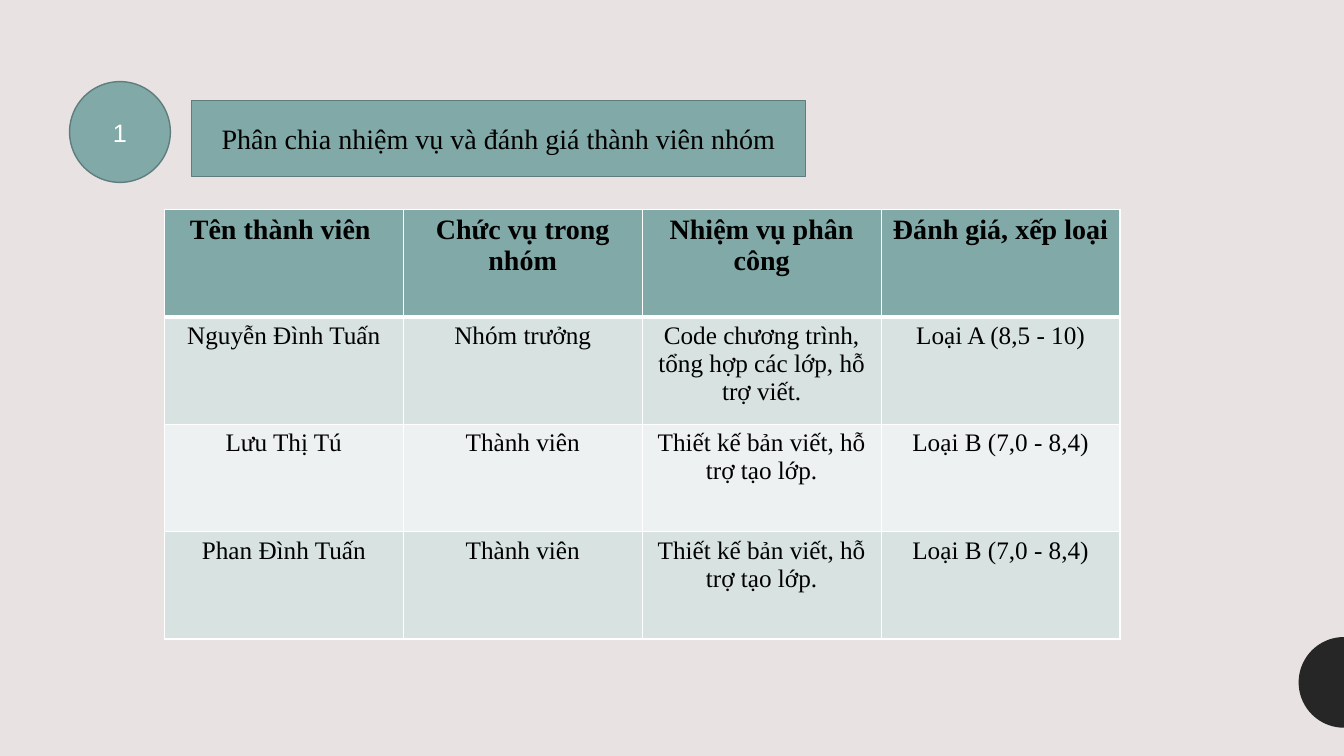
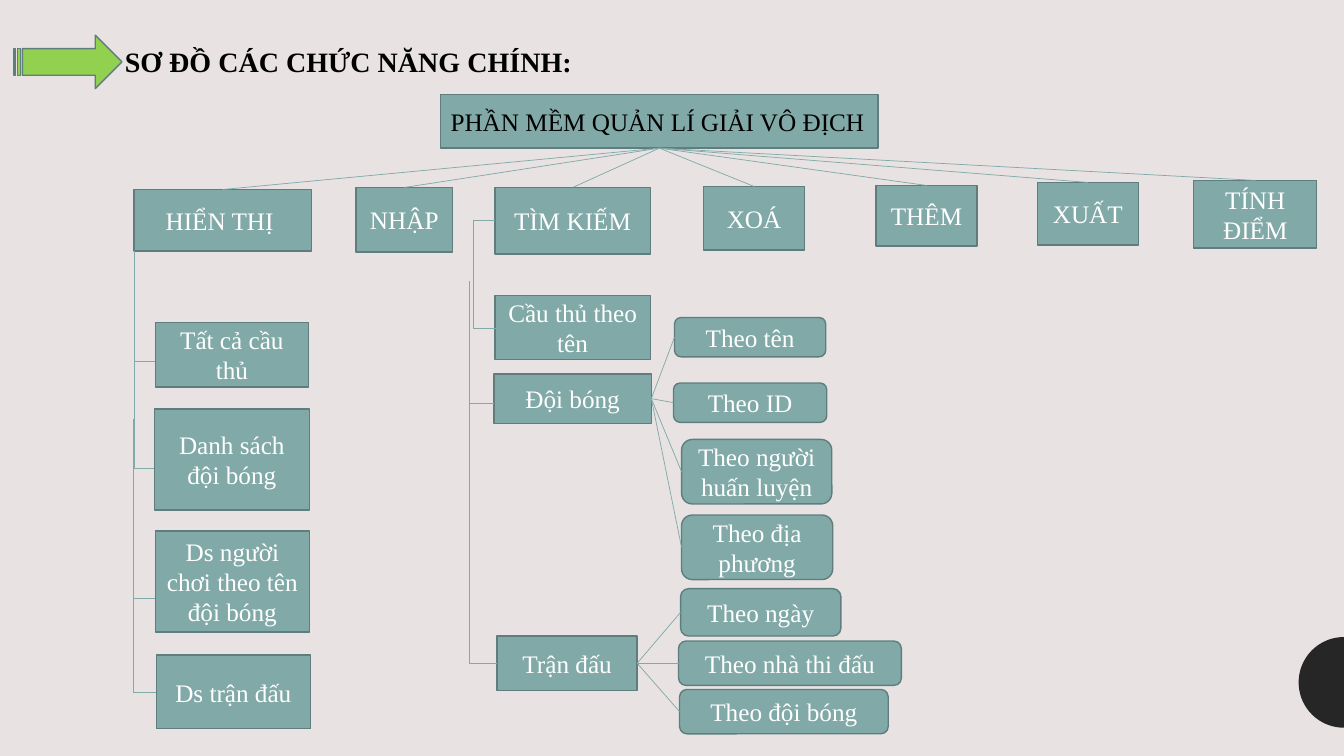
from math import cos, pi, sin

from lxml.etree import SubElement
from pptx import Presentation
from pptx.dml.color import RGBColor
from pptx.enum.shapes import MSO_CONNECTOR as Link, MSO_SHAPE as Preset
from pptx.enum.text import MSO_ANCHOR as Anchor, PP_ALIGN as Align
from pptx.oxml import parse_xml
from pptx.oxml.ns import nsdecls, qn
from pptx.util import Inches, Pt

COLORS = {
    "page": "E8E2E2", "dark": "262626", "teal": "80A9A7", "edge": "5F7D7C",
    "green": "92D050", "band": "D8E2E1", "pale": "EDF1F1",
    "white": "FFFFFF", "black": "000000",
}
HEX = {name: RGBColor.from_string(value) for name, value in COLORS.items()}
SERIF = "Times New Roman"


def add_box(page, area, text="", kind=Preset.RECTANGLE, fill="teal",
            color="white", size=18, font=SERIF, align=Align.CENTER):
    box = page.shapes.add_shape(kind, *[Inches(value) for value in area])
    box.shadow.inherit = False
    box.fill.solid()
    box.fill.fore_color.rgb = HEX[fill]
    box.line.color.rgb = HEX["edge"]
    box.line.width = Pt(1)
    box.text_frame.word_wrap = True
    box.text_frame.vertical_anchor = Anchor.MIDDLE
    para = box.text_frame.paragraphs[0]
    para.text = text
    para.alignment = align
    para.font.name = font
    para.font.size = Pt(size)
    para.font.color.rgb = HEX[color]
    return box


def add_link(page, kind, start=(0, 0), end=(0, 0)):
    link = page.shapes.add_connector(kind, *[Inches(value) for value in (*start, *end)])
    link.line.color.rgb = HEX["teal"]
    link.line.width = Pt(0.5)
    SubElement(link._element.spPr, qn("a:effectLst"))
    return link


deck = Presentation()
deck.slide_width = Inches(13.33)
deck.slide_height = Inches(7.5)
background = deck.slide_master.background.fill
background.solid()
background.fore_color.rgb = HEX["page"]

pages = [deck.slides.add_slide(deck.slide_layouts[6]) for _ in range(2)]
angles = [pi / 2 + pi * step / 36 for step in range(37)]
arc = [(Inches(13.33 + 0.45 * cos(angle)), Inches(6.77 - 0.45 * sin(angle))) for angle in angles]
for page in pages:
    builder = page.shapes.build_freeform(*arc[0])
    builder.add_line_segments(arc[1:], close=True)
    half_disc = builder.convert_to_shape()
    half_disc.shadow.inherit = False
    half_disc.fill.solid()
    half_disc.fill.fore_color.rgb = HEX["dark"]
    half_disc.line.fill.background()

team, chart = pages

add_box(team, (0.69, 0.81, 1, 1), "1", Preset.OVAL, font="Arial")
add_box(team, (1.9, 1, 6.09, 0.75), "Phân chia nhiệm vụ và đánh giá thành viên nhóm",
        color="black", size=20)

members = [
    ("Tên thành viên ", "Chức vụ trong nhóm", "Nhiệm vụ phân công", "Đánh giá, xếp loại"),
    ("Nguyễn Đình Tuấn", "Nhóm trưởng", "Code chương trình, tổng hợp các lớp, hỗ trợ viết.",
     "Loại A (8,5 - 10)"),
    ("Lưu Thị Tú", "Thành viên", "Thiết kế bản viết, hỗ trợ tạo lớp.", "Loại B (7,0 - 8,4)"),
    ("Phan Đình Tuấn", "Thành viên", "Thiết kế bản viết, hỗ trợ tạo lớp.", "Loại B (7,0 - 8,4)"),
]
row_fills = ["teal", "band", "pale", "band"]
table = team.shapes.add_table(4, 4, Inches(1.63), Inches(2.08), Inches(9.48), Inches(4.26)).table
for row, texts in enumerate(members):
    for column, text in enumerate(texts):
        cell = table.cell(row, column)
        cell.fill.solid()
        cell.fill.fore_color.rgb = HEX[row_fills[row]]
        para = cell.text_frame.paragraphs[0]
        para.text = text
        para.alignment = Align.CENTER
        para.font.name = SERIF
        para.font.size = Pt(20 if row == 0 else 18)
        para.font.bold = row == 0
        para.font.color.rgb = HEX["black"]
        for place, side in enumerate(("lnL", "lnR", "lnT", "lnB")):
            thick = (row, side) in ((0, "lnB"), (1, "lnT"))
            border = parse_xml(
                f'<a:{side} {nsdecls("a")} w="{Pt(3 if thick else 1)}"><a:solidFill>'
                f'<a:srgbClr val="{COLORS["white"]}"/></a:solidFill></a:{side}>')
            cell._tc.get_or_add_tcPr().insert(place, border)

title = chart.shapes.add_textbox(Inches(1.14), Inches(0.39), Inches(4.67), Inches(0.44))
title.text_frame.word_wrap = False
para = title.text_frame.paragraphs[0]
para.text = "SƠ ĐỒ CÁC CHỨC NĂNG CHÍNH:"
para.font.name = SERIF
para.font.size = Pt(20)
para.font.bold = True
para.font.color.rgb = HEX["black"]
add_box(chart, (0.14, 0.35, 1.07, 0.53), kind=Preset.STRIPED_RIGHT_ARROW, fill="green")

root = add_box(chart, (4.37, 0.94, 4.34, 0.53), "PHẦN MỀM QUẢN LÍ GIẢI VÔ ĐỊCH",
               color="black", align=Align.LEFT)
functions = [
    ("HIỂN THỊ ", (1.33, 1.88, 1.76, 0.61)),
    ("NHẬP", (3.53, 1.86, 0.96, 0.64)),
    ("TÌM KIẾM", (4.91, 1.86, 1.54, 0.66)),
    ("XOÁ", (6.98, 1.85, 1, 0.63)),
    ("THÊM", (8.69, 1.84, 1, 0.6)),
    ("XUẤT", (10.29, 1.81, 1, 0.62)),
    ("TÍNH ĐIỂM", (11.84, 1.79, 1.22, 0.67)),
]
for text, area in functions:
    box = add_box(chart, area, text)
    link = add_link(chart, Link.STRAIGHT)
    link.begin_connect(root, 2)
    link.end_connect(box, 0)

displays = [
    ("Tất cả cầu thủ", (1.54, 3.2, 1.52, 0.64)),
    ("Danh sách đội bóng", (1.53, 4.06, 1.54, 1)),
    ("Ds người chơi theo tên đội bóng", (1.54, 5.27, 1.53, 1)),
    ("Ds trận đấu", (1.55, 6.5, 1.53, 0.73)),
]
searches = [
    ("Cầu thủ theo tên", (4.91, 2.93, 1.54, 0.64), []),
    ("Đội bóng", (4.9, 3.71, 1.56, 0.49), [
        ("Theo tên", (6.69, 3.15, 1.5, 0.39)),
        ("Theo ID", (6.68, 3.8, 1.52, 0.39)),
        ("Theo người huấn luyện", (6.76, 4.36, 1.49, 0.64)),
        ("Theo địa phương", (6.76, 5.11, 1.5, 0.64)),
    ]),
    ("Trận đấu", (4.93, 6.31, 1.39, 0.54), [
        ("Theo ngày", (6.75, 5.84, 1.59, 0.47)),
        ("Theo nhà thi đấu", (6.73, 6.36, 2.21, 0.44)),
        ("Theo đội bóng", (6.74, 6.84, 2.07, 0.44)),
    ]),
]
for text, area in displays:
    add_box(chart, area, text)
for text, area, criteria in searches:
    group = add_box(chart, area, text)
    for name, place in criteria:
        box = add_box(chart, place, name, Preset.ROUNDED_RECTANGLE)
        link = add_link(chart, Link.STRAIGHT)
        link.begin_connect(group, 3)
        link.end_connect(box, 1)

elbows = [
    ((1.33, 2.49), (1.54, 3.58), 0),
    ((1.33, 3.59), (1.53, 4.65), 0),
    ((1.32, 4.16), (1.54, 5.94), 0),
    ((1.32, 5.94), (1.55, 6.87), 0),
    ((4.91, 2.19), (4.92, 3.26), -22),
    ((4.66, 2.79), (4.9, 4), 0),
    ((4.66, 3.98), (4.93, 6.58), 0),
]
for start, end, bend in elbows:
    elbow = add_link(chart, Link.ELBOW, start, end)
    guides = elbow._element.spPr.find(qn("a:prstGeom")).get_or_add_avLst()
    SubElement(guides, qn("a:gd"), name="adj1", fmla=f"val {bend * 100000}")

deck.save("out.pptx")
